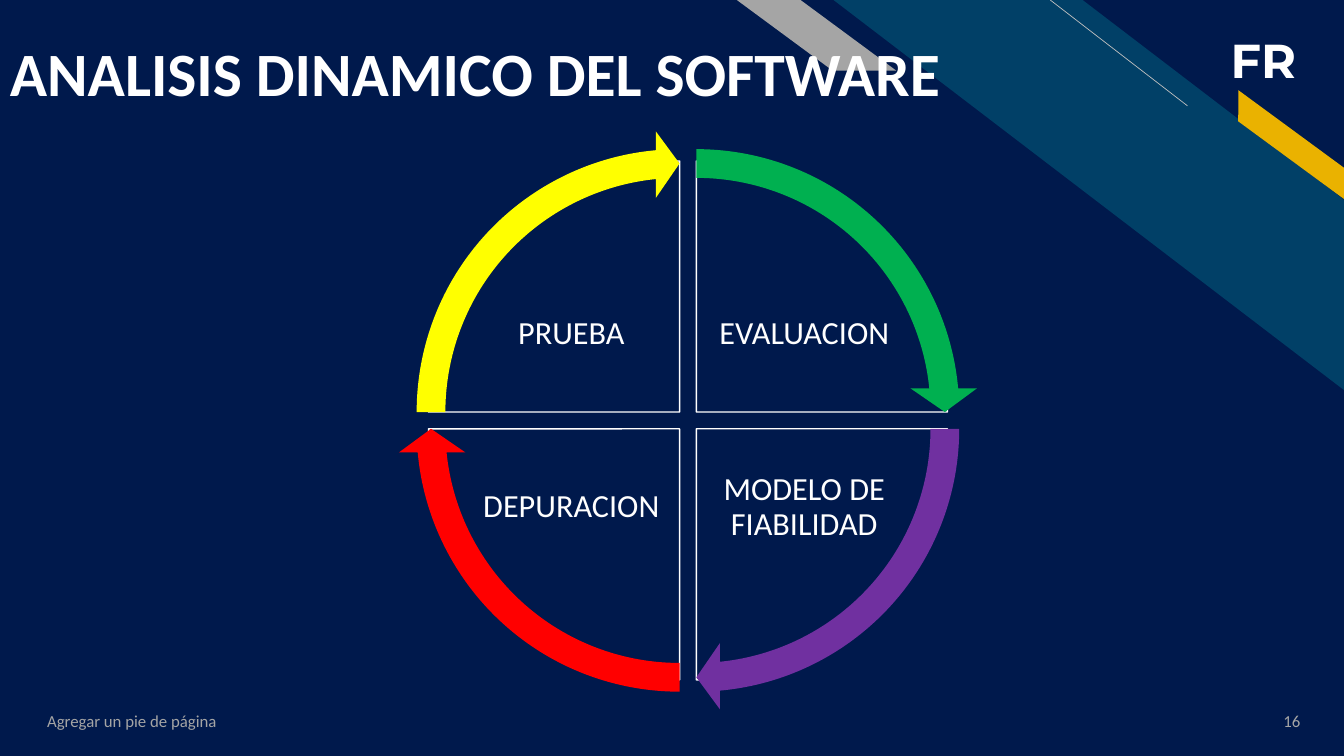
from lxml import etree
from pptx import Presentation
from pptx.dml.color import RGBColor
from pptx.enum.shapes import MSO_CONNECTOR, MSO_SHAPE
from pptx.enum.text import MSO_ANCHOR, MSO_AUTO_SIZE, PP_ALIGN
from pptx.oxml.ns import qn
from pptx.util import Pt

LEFT, CENTER, RIGHT = PP_ALIGN.LEFT, PP_ALIGN.CENTER, PP_ALIGN.RIGHT
TOP, MIDDLE, BOTTOM = MSO_ANCHOR.TOP, MSO_ANCHOR.MIDDLE, MSO_ANCHOR.BOTTOM
STRIPE, SLANT = MSO_SHAPE.DIAGONAL_STRIPE, MSO_SHAPE.PARALLELOGRAM
PIE, ARROW = MSO_SHAPE.BLOCK_ARC, MSO_SHAPE.CIRCULAR_ARROW
PIE = MSO_SHAPE.PIE

COLORS = {
    "navy": "00194C", "teal": "014067", "gold": "EAB200", "gray": "A5A5A5",
    "silver": "BFBFBF", "white": "FFFFFF", "green": "00B050",
    "purple": "7030A0", "red": "FF0000", "yellow": "FFFF00",
}

# label, arrow color, side across, side down, start angle (100000ths)
QUADRANTS = [
    ("EVALUACION", "green", 1, -1, 162),
    ("MODELO DE FIABILIDAD", "purple", 1, 1, 0),
    ("DEPURACION", "red", -1, 1, 54),
    ("PRUEBA", "yellow", -1, -1, 108),
]

# preset, box, color, adjustment, rotation
BANDS = [
    (STRIPE, (595.4, 0, 364.6, 278.6), "teal", 0.512, 0),
    (SLANT, (869, 94.3, 106.6, 18), "gold", 0.72, 36.3),
    (SLANT, (526.3, 0, 113.8, 50.4), "gray", 1.356, 0),
]
BAND_LINE = (848.2, 75.6, 750.2, 0)

SMALL = {"size": Pt(12), "name": "Calibri"}
# text, box, margins, color, font, alignment, anchor, line spacing, wrap
TEXTS = [
    ("FR", (872, 18.7, 64, 48.2), (7.2, 3.6, 7.2, 3.6), "white",
     {"size": Pt(34), "name": "Montserrat", "bold": True}, LEFT, TOP, 1, False),
    ("Agregar un pie de página", (26.6, 500.4, 324, 28.8),
     (7.2, 3.6, 7.2, 3.6), "gray", SMALL, LEFT, MIDDLE, 1, True),
    ("16", (877.7, 500.4, 58.3, 28.8), (7.2, 3.6, 7.2, 3.6), "gray",
     SMALL, RIGHT, MIDDLE, 1, True),
    ("ANALISIS DINAMICO DEL SOFTWARE", (0, 1.4, 728.6, 77),
     (7.2, 3.6, 7.2, 0), "white",
     {"size": Pt(44), "name": "Calibri", "bold": True}, LEFT, BOTTOM, 0.9, True),
]
LABEL_FONT = {"size": Pt(23), "name": "Calibri"}

CENTER_X, CENTER_Y = 491.4, 300.3
GAP = 6
PIE_SIZE, ARROW_SIZE = 358.6, 402.5
LABEL_W, LABEL_H = 132.5, 98
LABEL_DX, LABEL_DY = 83.2, 62
QUARTER, FULL_TURN = 54, 216


def rgb(name):
    return RGBColor.from_string(COLORS[name])


def pts(box):
    return [Pt(v) for v in box]


def centered(x, y, w, h):
    return x - w / 2, y - h / 2, w, h


def add_filled(shapes, preset, box, color, adjustments, outline=None):
    s = shapes.add_shape(preset, *pts(box))
    s.shadow.inherit = False
    s.fill.solid()
    s.fill.fore_color.rgb = rgb(color)
    for i, value in enumerate(adjustments):
        s.adjustments[i] = value
    if outline:
        s.line.color.rgb = rgb(outline)
        s.line.width = Pt(1)
    else:
        s.line.fill.background()
    return s


def add_text(shapes, text, box, margins, color, font, align, anchor, spacing, wrap):
    tf = shapes.add_textbox(*pts(box)).text_frame
    tf.word_wrap = wrap
    tf.auto_size = MSO_AUTO_SIZE.NONE if wrap else MSO_AUTO_SIZE.SHAPE_TO_FIT_TEXT
    tf.vertical_anchor = anchor
    for side, value in zip(("left", "top", "right", "bottom"), margins):
        setattr(tf, f"margin_{side}", Pt(value))
    p = tf.paragraphs[0]
    p.alignment = align
    p.line_spacing = spacing
    r = p.add_run()
    r.text = text
    for key, value in font.items():
        setattr(r.font, key, value)
    r.font.color.rgb = rgb(color)


def add_bands(shapes):
    for preset, box, color, adjustment, rotation in BANDS:
        s = add_filled(shapes, preset, box, color, [adjustment])
        s.rotation = rotation
        s._element.spPr.find(qn("a:xfrm")).set("flipH", "1")
        if preset == STRIPE:
            line = shapes.add_connector(MSO_CONNECTOR.STRAIGHT, *pts(BAND_LINE))
            line.line.color.rgb = rgb("silver")
            line.line.width = Pt(0.5)
            etree.SubElement(line._element.spPr, qn("a:effectLst"))


def add_cycle(shapes):
    for label, _, dx, dy, start in QUADRANTS:
        box = centered(CENTER_X + dx * GAP, CENTER_Y + dy * GAP, PIE_SIZE, PIE_SIZE)
        add_filled(shapes, PIE, box, "navy",
                   [start, (start + QUARTER) % FULL_TURN], "white")
        box = centered(CENTER_X + dx * LABEL_DX, CENTER_Y + dy * LABEL_DY,
                       LABEL_W, LABEL_H)
        add_text(shapes, label, box, (2.2,) * 4, "white", LABEL_FONT,
                 CENTER, MIDDLE, 0.9, True)
    for _, color, dx, dy, start in QUADRANTS:
        box = centered(CENTER_X + dx * GAP, CENTER_Y + dy * GAP,
                       ARROW_SIZE, ARROW_SIZE)
        add_filled(shapes, ARROW, box, color,
                   [0.051, 3.275, start + 50.725, start, 0.059])


def main():
    prs = Presentation()
    prs.slide_width, prs.slide_height = Pt(960), Pt(540)
    slide = prs.slides.add_slide(prs.slide_layouts[6])
    slide.background.fill.solid()
    slide.background.fill.fore_color.rgb = rgb("navy")
    add_bands(slide.shapes)
    for text in TEXTS:
        add_text(slide.shapes, *text)
    add_cycle(slide.shapes)
    prs.save("out.pptx")


if __name__ == "__main__":
    main()
